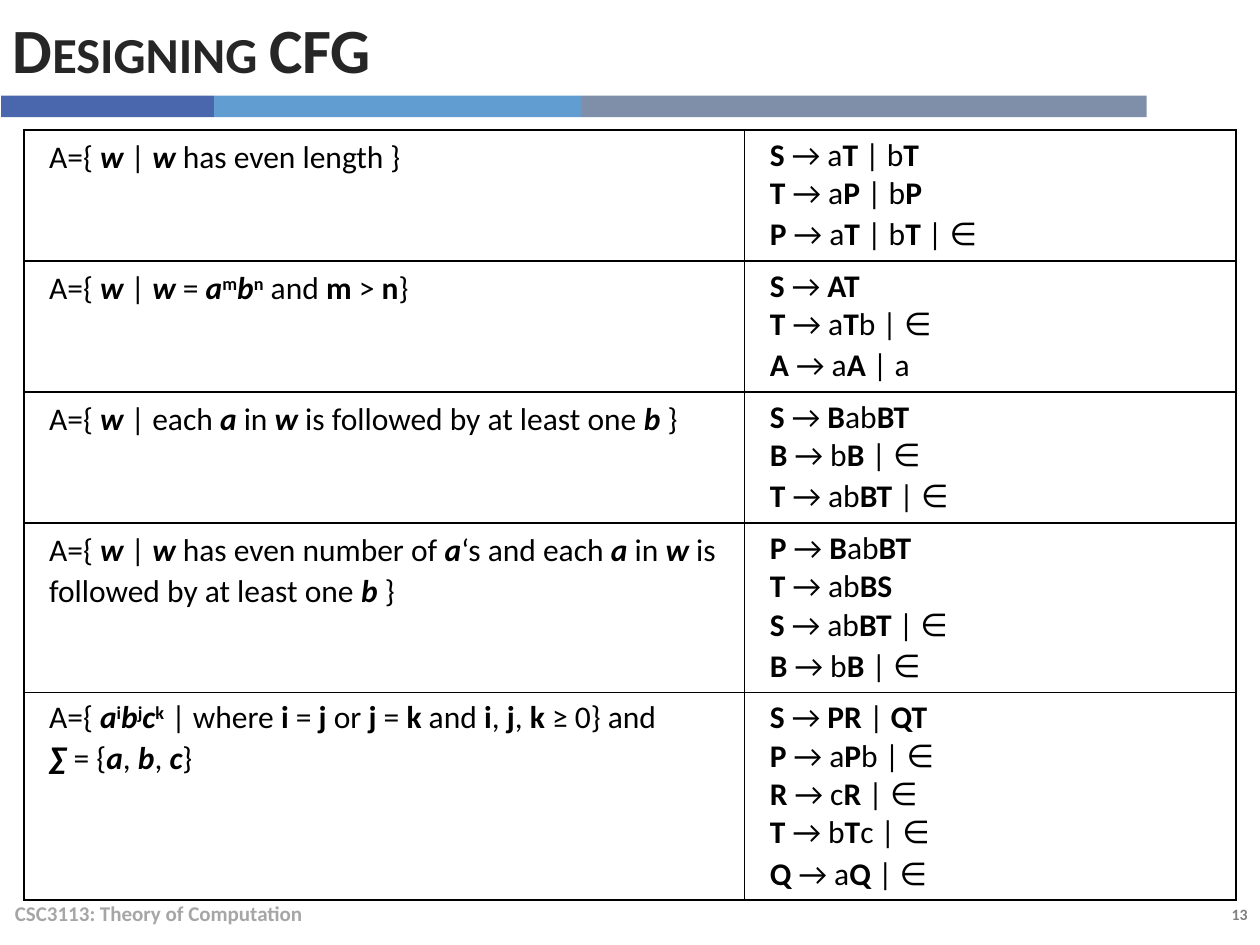
import itertools

import pptx
import pptx.dml.color
import pptx.enum.shapes
import pptx.enum.text
import pptx.oxml
import pptx.oxml.ns
import pptx.util

RGBColor = pptx.dml.color.RGBColor
ALIGN = pptx.enum.text.PP_ALIGN
ANCHOR = pptx.enum.text.MSO_ANCHOR

BLACK = RGBColor(0x00, 0x00, 0x00)
CHARCOAL = RGBColor(0x26, 0x26, 0x26)
GREY = RGBColor(0x80, 0x80, 0x80)
LIGHT_GREY = RGBColor(0xA6, 0xA6, 0xA6)
INDIGO = RGBColor(0x4A, 0x66, 0xAC)
SKY = RGBColor(0x62, 0x9D, 0xD1)
SLATE = RGBColor(0x7F, 0x8F, 0xA9)

# Marks in a language description: *variable*, _index_, ^exponent^
MARKS = {
    "*": {"bold": True, "italic": True},
    "_": {"bold": True},
    "^": {"bold": True, "raised": True},
}

EXAMPLES = [
    (["A={ *w* | *w* has even length }"],
     ["S → aT | bT", "T → aP | bP", "P → aT | bT | ∈"]),
    (["A={ *w* | *w* = *a*^m^*b*^n^ and _m_ > _n_}"],
     ["S → AT", "T → aTb | ∈", "A → aA | a"]),
    (["A={ *w* | each *a* in *w* is followed by at least one *b* }"],
     ["S → BabBT", "B → bB | ∈", "T → abBT | ∈"]),
    (["A={ *w* | *w* has even number of *a*‘s and each *a* in *w* is "
      "followed by at least one *b* }"],
     ["P → BabBT", "T → abBS", "S → abBT | ∈", "B → bB | ∈"]),
    (["A={ *a*^i^*b*^j^*c*^k^ | where _i_ = _j_ or _j_ = _k_ and "
      "_i_, _j_, _k_ ≥ 0} and",
      "*∑* = {*a*, *b*, *c*}"],
     ["S → PR | QT", "P → aPb | ∈", "R → cR | ∈", "T → bTc | ∈", "Q → aQ | ∈"]),
]


def add_span(para, text, size=18, color=BLACK, bold=False, italic=False,
             raised=False, small_caps=False):
    span = para.add_run()
    span.text = text
    font = span.font
    font.name = "Calibri"
    font.size = pptx.util.Pt(size)
    font.color.rgb = color
    font.bold = bold
    font.italic = italic
    properties = span._r.get_or_add_rPr()
    if raised:
        properties.set("baseline", "30000")
    if small_caps:
        properties.set("cap", "small")


def language_spans(text):
    """Yield each piece of a marked description with its format."""
    mark, piece = None, ""
    for letter in text:
        if letter in MARKS:
            if piece:
                yield piece, MARKS.get(mark, {})
            mark, piece = (None if mark else letter), ""
        else:
            piece += letter
    if piece:
        yield piece, {}


def grammar_spans(text):
    """Yield the pieces of a rule, with the capital variables bold."""
    for is_variable, letters in itertools.groupby(text, str.isupper):
        yield "".join(letters), {"bold": is_variable}


class Page:
    """A slide on a grid of 100 columns by 75 rows."""

    def __init__(self, deck):
        self.column = deck.slide_width / 100
        self.row = deck.slide_height / 75
        self.slide = deck.slides.add_slide(deck.slide_layouts[5])

    def across(self, columns):
        return round(columns * self.column)

    def down(self, rows):
        return round(rows * self.row)

    def area(self, left, top, width, height):
        return (self.across(left), self.down(top),
                self.across(width), self.down(height))

    def title(self, text, *place):
        box = self.slide.shapes.title
        box.left, box.top, box.width, box.height = self.area(*place)
        self.fill_line(box.text_frame, text, size=36, color=CHARCOAL,
                       bold=True, small_caps=True)

    def label(self, text, *place, align=ALIGN.LEFT, **style):
        box = self.slide.shapes.add_textbox(*self.area(*place))
        self.fill_line(box.text_frame, text, align, **style)

    def fill_line(self, frame, text, align=ALIGN.LEFT, **style):
        frame.word_wrap = True
        frame.vertical_anchor = ANCHOR.MIDDLE
        para = frame.paragraphs[0]
        para.alignment = align
        add_span(para, text, **style)

    def bar(self, color, *place):
        bar = self.slide.shapes.add_shape(
            pptx.enum.shapes.MSO_SHAPE.RECTANGLE, *self.area(*place))
        bar.shadow.inherit = False
        bar.fill.solid()
        bar.fill.fore_color.rgb = color
        bar.line.fill.background()

    def example_table(self, examples, left, top, widths):
        heights = [3.05 * len(rules) + 1.25 for _, rules in examples]
        table = self.slide.shapes.add_table(
            len(examples), len(widths),
            *self.area(left, top, sum(widths), sum(heights))).table
        table.first_row = table.horz_banding = False
        for column, width in zip(table.columns, widths):
            column.width = self.across(width)
        for index, (language, rules) in enumerate(examples):
            table.rows[index].height = self.down(heights[index])
            self.cell(table.cell(index, 0), language, language_spans)
            self.cell(table.cell(index, 1), rules, grammar_spans)

    def cell(self, cell, lines, split):
        self.cell_border(cell)
        cell.fill.background()
        cell.margin_left, cell.margin_right = self.across(2), self.across(0.7)
        cell.margin_top = cell.margin_bottom = self.down(0.5)
        frame = cell.text_frame
        for index, line in enumerate(lines):
            para = frame.add_paragraph() if index else frame.paragraphs[0]
            for text, style in split(line):
                add_span(para, text, **style)
        para.line_spacing = 1.07

    def cell_border(self, cell):
        properties = cell._tc.get_or_add_tcPr()
        for side in "LRTB":
            properties.append(pptx.oxml.parse_xml(
                f'<a:ln{side} {pptx.oxml.ns.nsdecls("a")} w="12700"><a:solidFill>'
                f'<a:srgbClr val="{BLACK}"/></a:solidFill></a:ln{side}>'))


def main():
    deck = pptx.Presentation()
    deck.slide_width = pptx.util.Inches(10)
    deck.slide_height = pptx.util.Inches(7.5)
    page = Page(deck)
    page.label("13", 87.3, 71.3, 12.7, 2.5, align=ALIGN.RIGHT,
               size=9, color=GREY, bold=True)
    left = 0.1
    for color, width in ((INDIGO, 16.9), (SKY, 29.1), (SLATE, 44.9)):
        page.bar(color, left, 7.6, width, 1.7)
        left += width
    page.label("CSC3113: Theory of Computation", 0.2, 70.5, 67, 4,
               size=12, color=LIGHT_GREY, bold=True)
    page.title("Designing CFG", 0, 0, 91, 7.6)
    page.example_table(EXAMPLES, 1.9, 10.3, (57.2, 39))
    deck.save("out.pptx")


if __name__ == "__main__":
    main()
